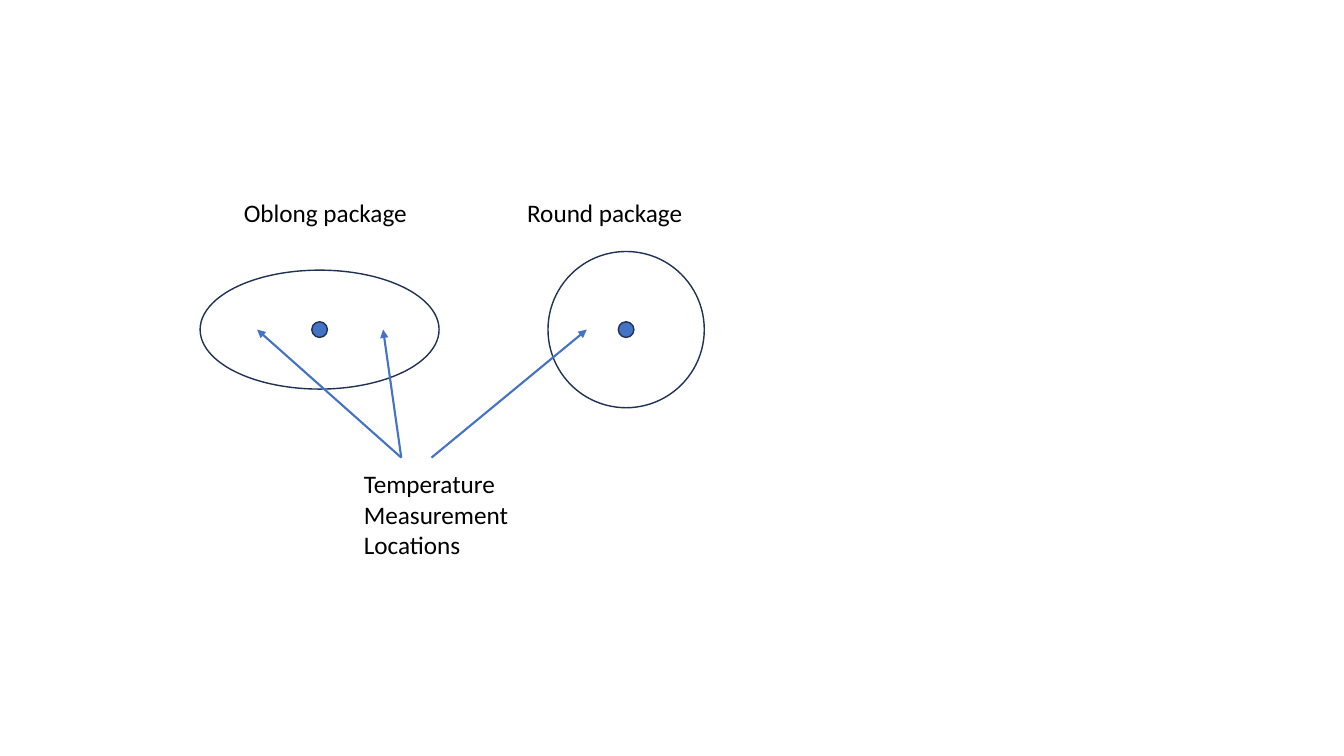
from lxml import etree
from pptx import Presentation
from pptx.dml.color import RGBColor
from pptx.enum.shapes import MSO_CONNECTOR, MSO_SHAPE
from pptx.enum.text import MSO_AUTO_SIZE
from pptx.oxml.ns import qn
from pptx.util import Inches, Pt

OVAL = MSO_SHAPE.OVAL
STRAIGHT = MSO_CONNECTOR.STRAIGHT
GROW = MSO_AUTO_SIZE.SHAPE_TO_FIT_TEXT

BLUE, NAVY, BLACK = "4472C4", "1E3256", "000000"
MID = 32.7  # row through the middle of both packages
DOT = 1.55  # diameter of a centre dot


def cell(count):
    """Length of a number of grid cells, ten to the inch."""
    return Inches(count / 10)


def color(code):
    return RGBColor.from_string(code)


def add_oval(slide, col, wide, high, fill=None):
    """Oval centred on a column of the middle row."""
    oval = slide.shapes.add_shape(
        OVAL, cell(col - wide / 2), cell(MID - high / 2), cell(wide), cell(high))
    oval.shadow.inherit = False
    if fill:
        oval.fill.solid()
        oval.fill.fore_color.rgb = color(fill)
    else:
        oval.fill.background()
    oval.line.color.rgb = color(NAVY)
    oval.line.width = Pt(1)


def add_label(slide, text, col, row, high):
    box = slide.shapes.add_textbox(cell(col), cell(row), cell(21.7), cell(high))
    frame = box.text_frame
    frame.word_wrap = True
    frame.auto_size = GROW
    frame.text = text
    font = frame.paragraphs[0].runs[0].font
    font.name = "Calibri"
    font.size = Pt(18)
    font.color.rgb = color(BLACK)


def add_arrow(slide, spot, foot):
    """Arrow that points from the foot column up to a spot on the middle row."""
    arrow = slide.shapes.add_connector(
        STRAIGHT, cell(spot), cell(MID), cell(foot), cell(45.4))
    arrow.line.color.rgb = color(BLUE)
    arrow.line.width = Pt(1.5)
    etree.SubElement(arrow.line._get_or_add_ln(), qn("a:headEnd"), type="triangle")
    etree.SubElement(arrow._element.spPr, qn("a:effectLst"))


def main():
    deck = Presentation()
    deck.slide_width, deck.slide_height = Inches(13.33), Inches(7.5)
    slide = deck.slides.add_slide(deck.slide_layouts[6])

    # Packages: name, label column, centre column, width, height
    packs = [
        ("Oblong package", 23.2, 31.7, 23.7, 11.8),
        ("Round package", 51.3, 62.1, 15.5, 15.5),
    ]
    for name, left, mid, wide, high in packs:
        add_oval(slide, mid, wide, high)
        add_oval(slide, mid, DOT, DOT, BLUE)
        add_label(slide, name, left, 19.1, 4)

    # Places where the temperature is taken
    for spot, foot in [(25.5, 39.8), (38, 39.8), (58.2, 42.8)]:
        add_arrow(slide, spot, foot)
    add_label(slide, "Temperature Measurement Locations", 35.1, 46, 10.1)

    deck.save("out.pptx")


if __name__ == "__main__":
    main()
